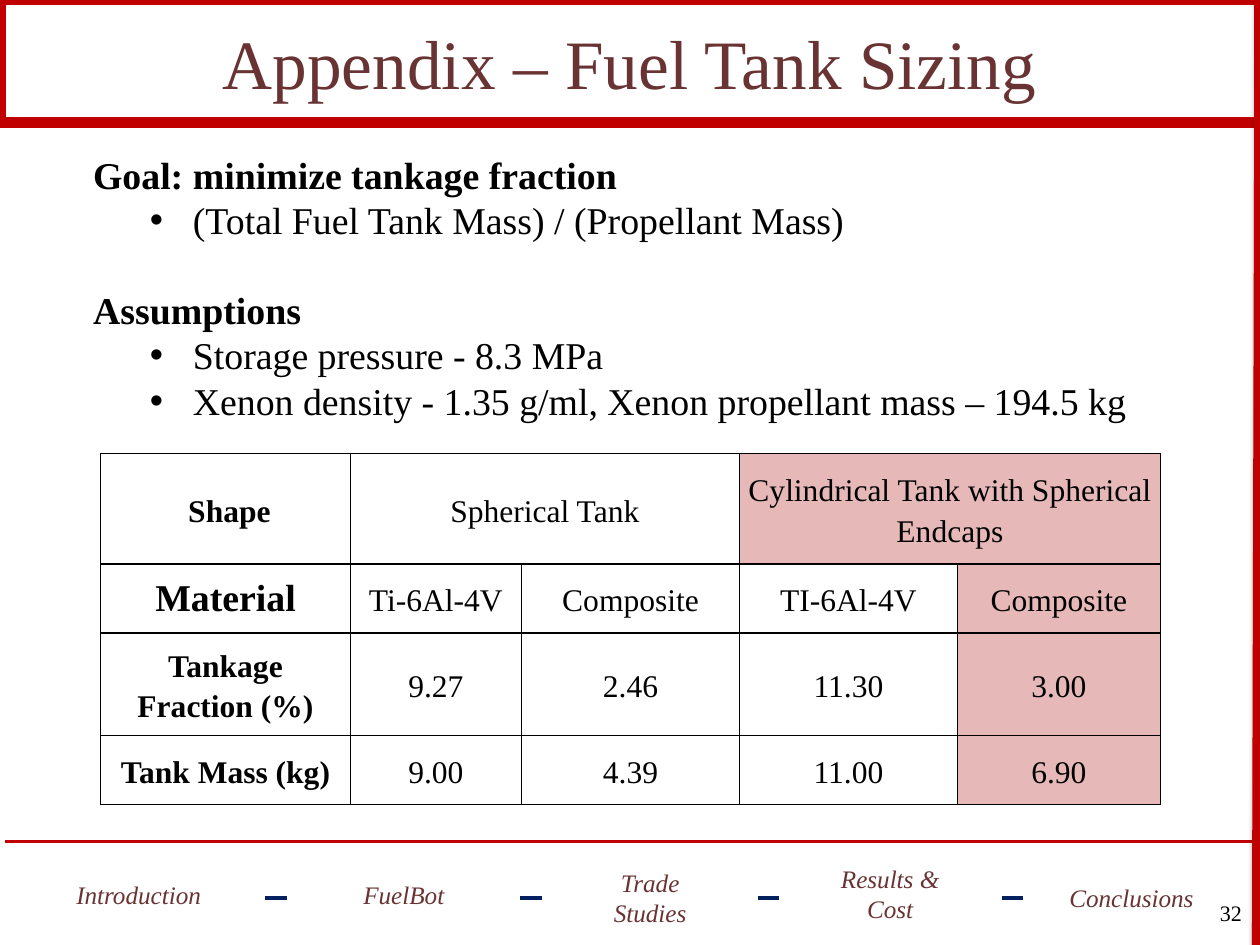
from lxml.etree import SubElement
from pptx import Presentation
from pptx.dml.color import RGBColor
from pptx.enum.shapes import MSO_CONNECTOR, MSO_SHAPE
from pptx.enum.text import MSO_ANCHOR, PP_ALIGN
from pptx.oxml import parse_xml
from pptx.oxml.ns import nsdecls, qn
from pptx.util import Inches, Pt

RED = RGBColor(0xC0, 0x00, 0x00)
MAROON = RGBColor(0x69, 0x33, 0x33)
NAVY = RGBColor(0x00, 0x20, 0x60)
PINK = RGBColor(0xE6, 0xB9, 0xB8)
WHITE = RGBColor(0xFF, 0xFF, 0xFF)
BLACK = RGBColor(0x00, 0x00, 0x00)
FONT = "Times New Roman"
WIDTH, HEIGHT = Inches(11.11), Inches(8.33)
COLUMNS, ROWS = 100, 75


def write(paragraph, text, size=24, color=BLACK, bold=False, italic=False,
          align=PP_ALIGN.LEFT, line_spacing=None, space_before=0, bullet=None):
    """Put formatted text into a paragraph."""
    if bullet:
        properties = paragraph._p.get_or_add_pPr()
        properties.set("marL", str(Inches(0.88)))
        properties.set("indent", str(Inches(-0.38)))
        SubElement(properties, qn("a:buFont")).set("typeface", "Arial")
        SubElement(properties, qn("a:buChar")).set("char", bullet)
    paragraph.alignment = align
    paragraph.space_before = Pt(space_before)
    if line_spacing:
        paragraph.line_spacing = line_spacing
    run = paragraph.add_run()
    run.text = text
    font = run.font
    font.name, font.size, font.color.rgb = FONT, Pt(size), color
    font.bold, font.italic = bold, italic


class SlideBuilder:
    """Places elements on a grid of 100 columns and 75 rows."""

    def __init__(self, slide):
        self.slide = slide
        self.shapes = slide.shapes

    def x(self, columns):
        return round(WIDTH * columns / COLUMNS)

    def y(self, rows):
        return round(HEIGHT * rows / ROWS)

    def box(self, left, top, width, height):
        return self.x(left), self.y(top), self.x(width), self.y(height)

    def frame(self, left, top, width, height, color, weight):
        shape = self.shapes.add_shape(MSO_SHAPE.RECTANGLE, *self.box(left, top, width, height))
        shape.shadow.inherit = False
        shape.fill.background()
        shape.line.color.rgb = color
        shape.line.width = Pt(weight)

    def line(self, start, end, color, weight, shadow=False):
        connector = self.shapes.add_connector(
            MSO_CONNECTOR.STRAIGHT, self.x(start[0]), self.y(start[1]),
            self.x(end[0]), self.y(end[1]))
        connector.line.color.rgb = color
        connector.line.width = Pt(weight)
        effects = SubElement(connector._element.spPr, qn("a:effectLst"))
        if shadow:
            effects.append(parse_xml(
                f'<a:outerShdw {nsdecls("a")} blurRad="{Pt(3.1)}" dist="{Pt(1.6)}" '
                'dir="5400000" rotWithShape="0"><a:srgbClr val="000000">'
                '<a:alpha val="38000"/></a:srgbClr></a:outerShdw>'))

    def text(self, left, top, width, height, paragraphs, anchor=MSO_ANCHOR.MIDDLE, **style):
        frame = self.shapes.add_textbox(*self.box(left, top, width, height)).text_frame
        frame.word_wrap = True
        frame.vertical_anchor = anchor
        for index, (text, extra) in enumerate(paragraphs):
            paragraph = frame.add_paragraph() if index else frame.paragraphs[0]
            write(paragraph, text, **{**style, **extra})

    def table(self, left, top, widths, heights, rows, merges, shaded):
        table = self.shapes.add_table(
            len(heights), len(widths),
            *self.box(left, top, sum(widths), sum(heights))).table
        table.first_row = table.horz_banding = False
        for column, width in zip(table.columns, widths):
            column.width = self.x(width)
        for row, height in zip(table.rows, heights):
            row.height = self.y(height)
        for row, first, last in merges:
            table.cell(row, first).merge(table.cell(row, last))
        for row, values in enumerate(rows):
            for column, value in enumerate(values):
                fill = PINK if (row, column) in shaded else WHITE
                self.cell(table.cell(row, column), value, fill, bold=column == 0)

    def cell(self, cell, value, fill, bold):
        properties = cell._tc.get_or_add_tcPr()
        for side in ("lnL", "lnR", "lnT", "lnB"):
            properties.append(parse_xml(
                f'<a:{side} {nsdecls("a")} w="{Pt(1)}"><a:solidFill>'
                f'<a:srgbClr val="{BLACK}"/></a:solidFill></a:{side}>'))
        cell.fill.solid()
        cell.fill.fore_color.rgb = fill
        cell.vertical_anchor = MSO_ANCHOR.MIDDLE
        cell.margin_left = cell.margin_right = Inches(0.07)
        cell.margin_top = cell.margin_bottom = 0
        if value:
            large = value == "Material"
            write(cell.text_frame.paragraphs[0], value, size=24 if large else 20, bold=bold,
                  align=PP_ALIGN.CENTER, line_spacing=None if large else 1.15)


def main():
    presentation = Presentation()
    presentation.slide_width, presentation.slide_height = WIDTH, HEIGHT
    builder = SlideBuilder(presentation.slides.add_slide(presentation.slide_layouts[6]))

    # Frame and rules
    builder.frame(0, 0, 100, 9.7, RED, 7)
    builder.line((0.4, 66.8), (99.9, 66.8), RED, 2.25)
    builder.line((99.8, 75), (100, 0), RED, 7, shadow=True)

    # Section trail: name, centre, top, width
    sections = [("Introduction", 11, 68.2, 15), ("FuelBot", 32.05, 68.2, 13.5),
                ("Trade Studies", 51.6, 68.4, 12), ("Results & Cost", 70.65, 68.1, 12.5),
                ("Conclusions", 89.8, 68.4, 12)]
    for name, centre, top, width in sections:
        builder.text(centre - width / 2, top, width, 5.65, [(name, {})],
                     size=16, color=MAROON, italic=True, align=PP_ALIGN.CENTER)
    for left in (21.05, 41.3, 60.15, 79.5):
        builder.line((left, 71.25), (left + 1.7, 71.25), NAVY, 2.25)

    # Title and slide number
    builder.text(7.5, 0, 85, 9.8, [("Appendix – Fuel Tank Sizing", {})],
                 size=44, color=MAROON, align=PP_ALIGN.CENTER)
    builder.text(95.1, 70.95, 4.35, 4.05, [("32", {})], anchor=MSO_ANCHOR.TOP,
                 size=14, align=PP_ALIGN.RIGHT)

    # Goal and assumptions
    heading, point = {"bold": True}, {"bullet": "•"}
    builder.text(6.5, 11.6, 90, 22.7, [
        ("Goal: minimize tankage fraction", heading),
        ("(Total Fuel Tank Mass) / (Propellant Mass)", point),
        ("Assumptions", {**heading, "space_before": 28}),
        ("Storage pressure - 8.3 MPa", point),
        ("Xenon density - 1.35 g/ml, Xenon propellant mass – 194.5 kg", point),
    ], anchor=MSO_ANCHOR.TOP)

    # Tank comparison
    builder.table(
        8, 36, widths=(19.8, 13.6, 17.3, 17.3, 16.1), heights=(8.75, 5.5, 8.1, 5.5),
        rows=[
            (" Shape", "Spherical Tank", "", "Cylindrical Tank with Spherical Endcaps", ""),
            ("Material", "Ti-6Al-4V", "Composite", "TI-6Al-4V", "Composite"),
            ("Tankage Fraction (%)", "9.27", "2.46", "11.30", "3.00"),
            ("Tank Mass (kg)", "9.00", "4.39", "11.00", "6.90"),
        ],
        merges=[(0, 1, 2), (0, 3, 4)],
        shaded={(0, 3), (0, 4), (1, 4), (2, 4), (3, 4)})

    presentation.save("out.pptx")


if __name__ == "__main__":
    main()
